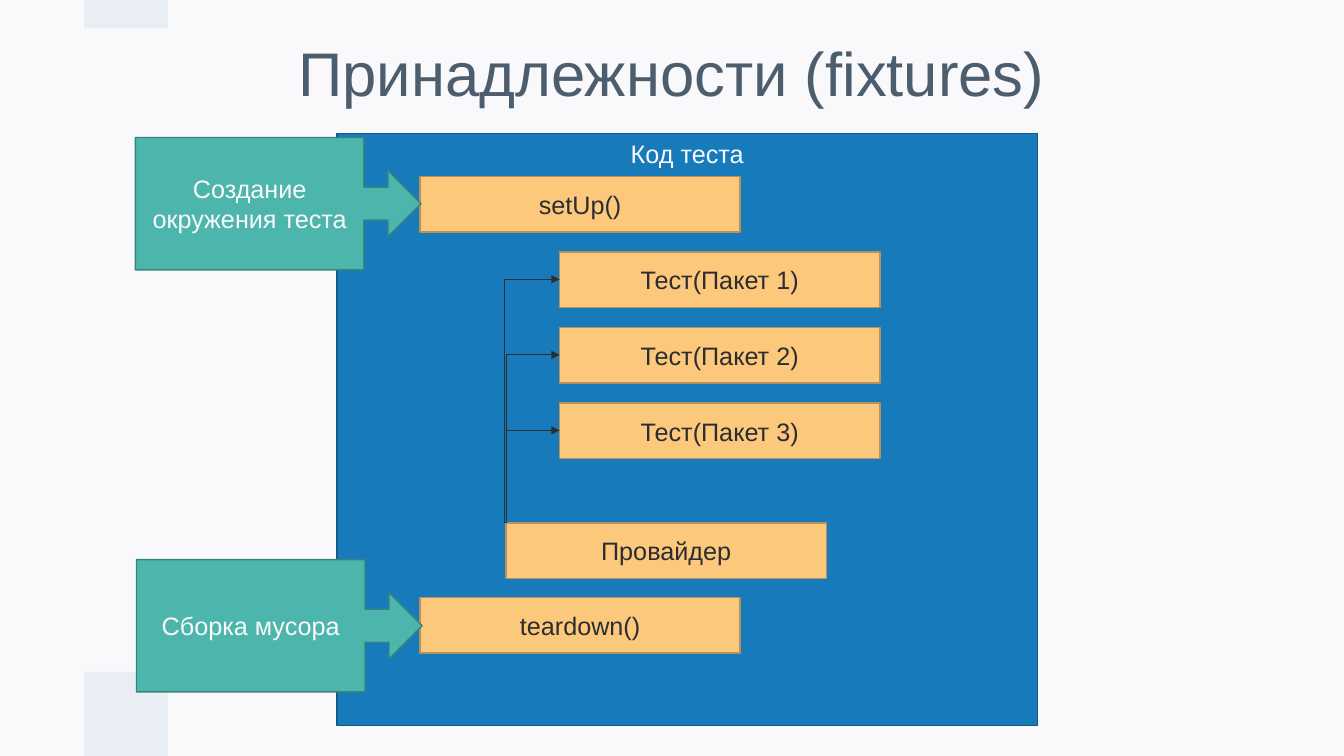
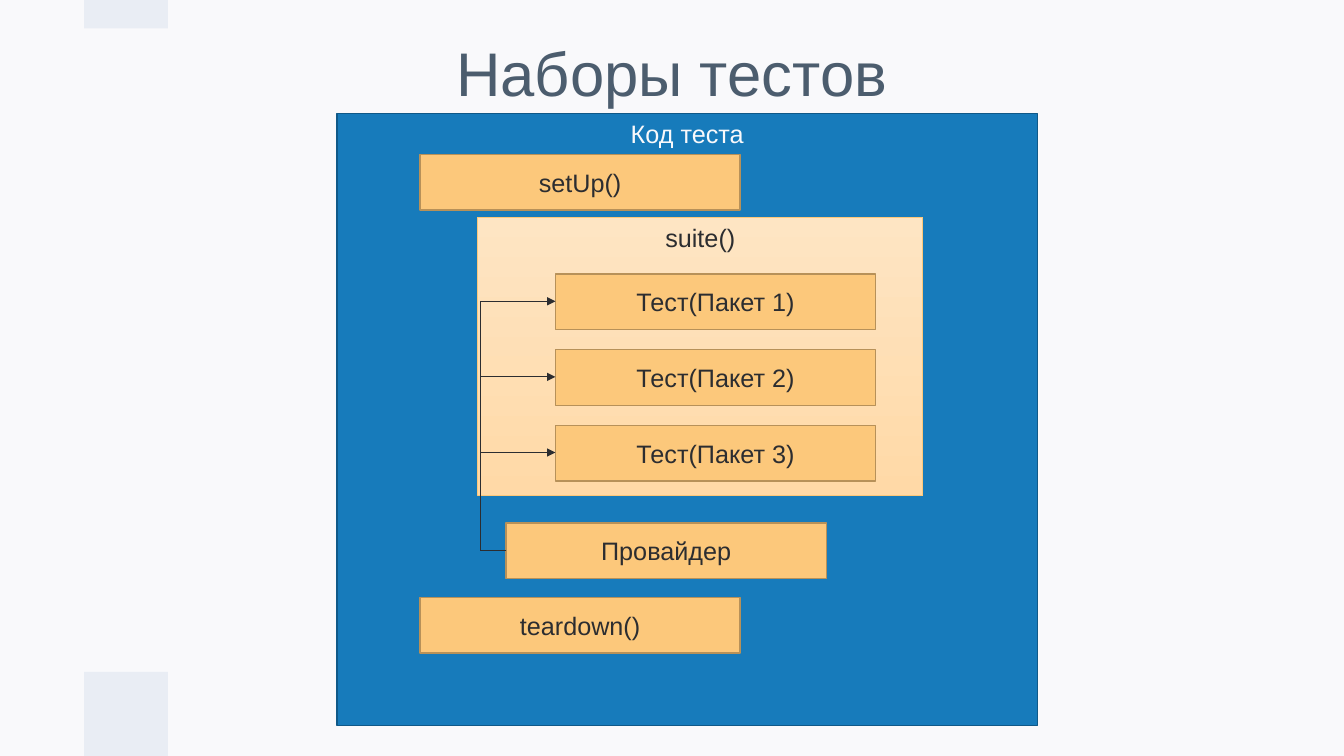
"""Build two slides on test fixtures and test suites."""
from lxml.etree import SubElement
from pptx import Presentation
from pptx.dml.color import RGBColor
from pptx.enum.shapes import MSO_CONNECTOR as Connector, MSO_SHAPE as Preset
from pptx.enum.text import MSO_ANCHOR as Anchor, PP_ALIGN as Align
from pptx.oxml.ns import qn
from pptx.util import Emu, Pt

PAPER = RGBColor(0xF9, 0xF9, 0xFB)
BAND = RGBColor(0xE9, 0xED, 0xF4)
SLATE = RGBColor(0x4C, 0x5D, 0x6E)
INK = RGBColor(0x2C, 0x2D, 0x30)
BLUE = RGBColor(0x17, 0x7B, 0xBB)
DARK_BLUE = RGBColor(0x10, 0x59, 0x88)
ORANGE = RGBColor(0xFC, 0xC8, 0x7B)
DARK_ORANGE = RGBColor(0xB7, 0x91, 0x59)
CREAM = RGBColor(0xFE, 0xE5, 0xC3)
PEACH = RGBColor(0xFF, 0xD9, 0xA7)
TEAL = RGBColor(0x4D, 0xB6, 0xAC)
DARK_TEAL = RGBColor(0x38, 0x84, 0x7D)

SCALE = 9525
WIDTH, HEIGHT = 1280, 720
BOX_WIDTH, BOX_HEIGHT = 305, 53
TEST_STEP = 72
PANEL_BOTTOM = 691
OUTER_LEFT = 400
PROVIDER_LEFT, PROVIDER_TOP = 482, 498
TEARDOWN_TOP = 569
TESTS = ["Тест(Пакет 1)", "Тест(Пакет 2)", "Тест(Пакет 3)"]


def px(*lengths):
    return [Emu(length * SCALE) for length in lengths]


def apply(target, values):
    for name, value in values.items():
        setattr(target, name, value)


class Deck:
    FONT = {"name": "Arial", "size": Pt(18)}
    TITLE_FONT = {"name": "Arial", "size": Pt(44)}
    TITLE_FRAME = dict.fromkeys(
        ["margin_left", "margin_right", "margin_top", "margin_bottom"], px(12)[0])

    def __init__(self):
        self.presentation = Presentation()
        apply(self.presentation, dict(zip(["slide_width", "slide_height"], px(WIDTH, HEIGHT))))
        fill = self.presentation.slide_master.background.fill
        fill.solid()
        fill.fore_color.rgb = PAPER
        self.slide = None

    def start(self, title):
        self.slide = self.presentation.slides.add_slide(self.presentation.slide_layouts[6])
        self.title(title)
        for top, height in ((640, 80), (0, 27)):
            self.block(80, top, 80, height, BAND)

    def label(self, shape, text, color, font, frame_format, paragraph_format):
        frame = shape.text_frame
        apply(frame, {"word_wrap": True, **frame_format})
        paragraph = frame.paragraphs[0]
        apply(paragraph, {"alignment": Align.CENTER, **paragraph_format})
        run = paragraph.add_run()
        run.text = text
        apply(run.font, font)
        run.font.color.rgb = color

    def title(self, text):
        shape = self.slide.shapes.add_textbox(*px(160, 38, 960, 70))
        self.label(shape, text, SLATE, self.TITLE_FONT,
                   {"vertical_anchor": Anchor.MIDDLE, **self.TITLE_FRAME},
                   {"line_spacing": 0.9})

    def block(self, left, top, width, height, fill, line=None, text="", color=INK,
              anchor=Anchor.MIDDLE, preset=Preset.RECTANGLE, line_width=1):
        shape = self.slide.shapes.add_shape(preset, *px(left, top, width, height))
        shape.shadow.inherit = False
        shape.fill.solid()
        shape.fill.fore_color.rgb = fill
        if line is None:
            shape.line.fill.background()
        else:
            shape.line.color.rgb = line
            shape.line.width = Pt(line_width)
        if text:
            self.label(shape, text, color, self.FONT, {"vertical_anchor": anchor}, {})
        return shape

    def panel(self, top):
        self.block(321, top, 667, PANEL_BOTTOM - top, BLUE, DARK_BLUE,
                   "Код теста", PAPER, Anchor.TOP)

    def box(self, left, top, text):
        self.block(left, top, BOX_WIDTH, BOX_HEIGHT, ORANGE, DARK_ORANGE, text)

    def suite(self):
        shape = self.block(455, 207, 424, 265, CREAM, ORANGE, "suite()",
                           anchor=Anchor.TOP, line_width=0.75)
        shape.fill.gradient()
        shape.fill.gradient_angle = 270
        for stop, color in zip(shape.fill.gradient_stops, (CREAM, PEACH)):
            stop.color.rgb = color

    def callout(self, left, top, text):
        shape = self.block(left, top, 272, 126, TEAL, DARK_TEAL, text, PAPER,
                           preset=Preset.RIGHT_ARROW_CALLOUT)
        for index, value in enumerate((0.25, 0.25, 0.25, 0.8)):
            shape.adjustments[index] = value

    def arrow(self, start, end, spine):
        connector = self.slide.shapes.add_connector(Connector.ELBOW, *px(*start, *end))
        connector.line.color.rgb = INK
        connector.line.width = Pt(0.75)
        bend = round((spine - start[0]) / (end[0] - start[0]) * 100000)
        properties = connector._element.spPr
        guides = properties.find(qn("a:prstGeom")).get_or_add_avLst()
        SubElement(guides, qn("a:gd"), name="adj1", fmla=f"val {bend}")
        SubElement(properties.find(qn("a:ln")), qn("a:tailEnd"), type="triangle")
        SubElement(properties, qn("a:effectLst"))

    def tests(self, left, top, start_y, spines):
        tops = [top + TEST_STEP * index for index in range(len(TESTS))]
        for text, test_top in zip(TESTS, tops):
            self.box(left, test_top, text)
        self.box(PROVIDER_LEFT, PROVIDER_TOP, "Провайдер")
        for spine, test_top in zip(spines, tops):
            end = (left, test_top + BOX_HEIGHT // 2)
            self.arrow((PROVIDER_LEFT, start_y), end, spine)

    def outer_steps(self, setup_top):
        self.box(OUTER_LEFT, setup_top, "setUp()")
        self.box(OUTER_LEFT, TEARDOWN_TOP, "teardown()")


def main():
    deck = Deck()

    deck.start("Принадлежности (fixtures)")
    deck.panel(127)
    deck.tests(533, 240, PROVIDER_TOP, (480, 482, 482))
    deck.outer_steps(168)
    deck.callout(129, 131, "Создание окружения теста")
    deck.callout(130, 533, "Сборка мусора")

    deck.start("Наборы тестов")
    deck.panel(108)
    deck.suite()
    deck.tests(529, 261, PROVIDER_TOP + BOX_HEIGHT // 2, (458, 458, 458))
    deck.outer_steps(147)

    deck.presentation.save("out.pptx")


if __name__ == "__main__":
    main()
